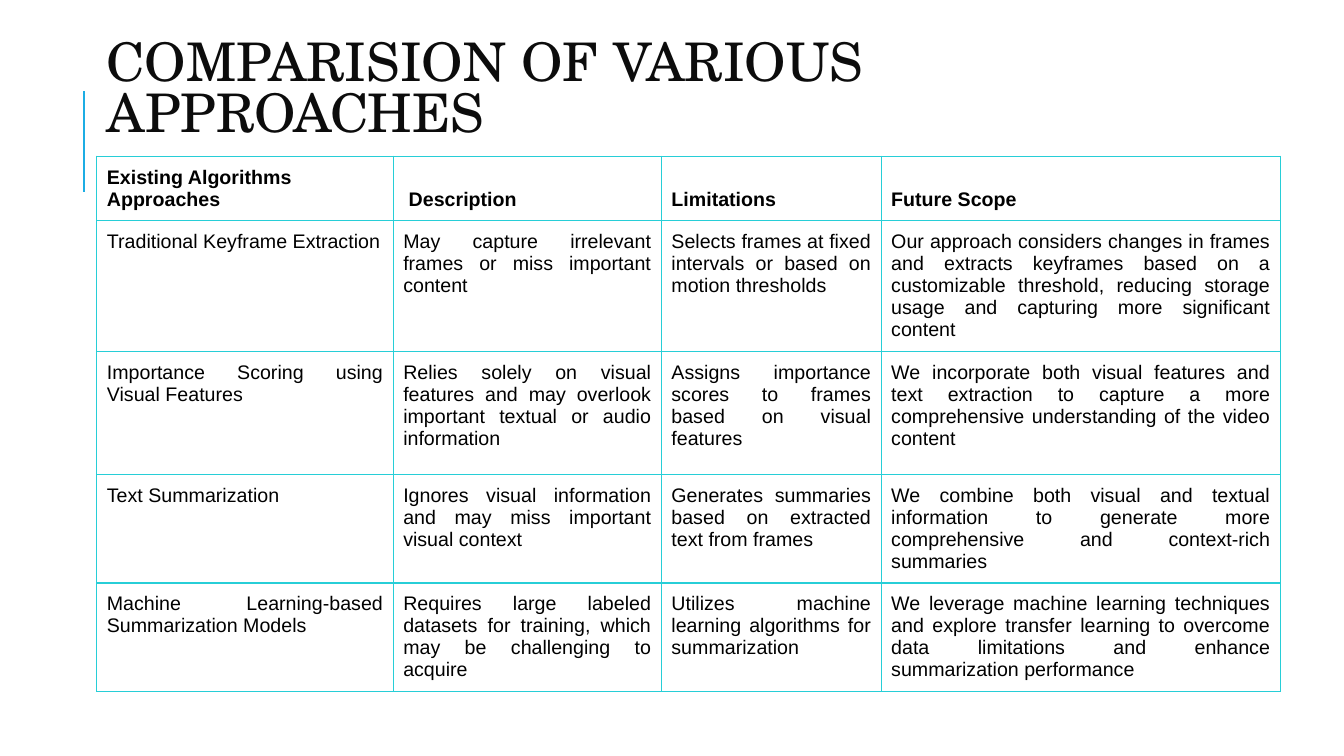
import pptx
import pptx.util
import pptx.dml.color
import pptx.enum.shapes
import pptx.enum.text
import pptx.oxml
import pptx.oxml.ns
from lxml import etree

Inches = pptx.util.Inches
Pt = pptx.util.Pt
Align = pptx.enum.text.PP_ALIGN
Anchor = pptx.enum.text.MSO_ANCHOR

WIDTHS = [2.94, 2.66, 2.18, 3.96]
HEIGHTS = [0.64, 1.3, 1.22, 1.07, 1.07]
ROWS = [
    ["Existing Algorithms Approaches", " Description", "Limitations", "Future Scope"],
    ["Traditional Keyframe Extraction",
     "May capture irrelevant frames or miss important content",
     "Selects frames at fixed intervals or based on motion thresholds",
     "Our approach considers changes in frames and extracts keyframes based on a "
     "customizable threshold, reducing storage usage and capturing more significant content"],
    ["Importance Scoring using Visual Features",
     "Relies solely on visual features and may overlook important textual or audio information",
     "Assigns importance scores to frames based on visual features",
     "We incorporate both visual features and text extraction to capture a more "
     "comprehensive understanding of the video content"],
    ["Text Summarization",
     "Ignores visual information and may miss important visual context",
     "Generates summaries based on extracted text from frames",
     "We combine both visual and textual information to generate more comprehensive "
     "and context-rich summaries"],
    ["Machine Learning-based Summarization Models",
     "Requires large labeled datasets for training, which may be challenging to acquire",
     "Utilizes machine learning algorithms for summarization",
     "We leverage machine learning techniques and explore transfer learning to overcome "
     "data limitations and enhance summarization performance"],
]


def color(code):
    return pptx.dml.color.RGBColor.from_string(code)


class Deck:
    serif, sans = "TeX Gyre Schola", "Arial"
    ink, black, blue, teal = "0C0C0C", "000000", "1CADE4", "27CED7"

    def __init__(self, slide):
        self.slide = slide

    def style(self, par, font, size, code, bold=False):
        for run in par.runs:
            run.font.name = font
            run.font.size = Pt(size)
            run.font.bold = bold
            run.font.color.rgb = color(code)

    def title(self, text, x, y, w, h):
        frame = self.slide.shapes.add_textbox(
            Inches(x), Inches(y), Inches(w), Inches(h)).text_frame
        frame.word_wrap = True
        frame.vertical_anchor = Anchor.MIDDLE
        frame.text = text
        par = frame.paragraphs[0]
        par.line_spacing = 0.8
        self.style(par, self.serif, 38, self.ink)

    def line(self, x1, y1, x2, y2):
        rule = self.slide.shapes.add_connector(
            pptx.enum.shapes.MSO_CONNECTOR.STRAIGHT,
            Inches(x1), Inches(y1), Inches(x2), Inches(y2))
        rule.line.color.rgb = color(self.blue)
        rule.line.width = Pt(1.5)
        etree.SubElement(rule._element.spPr, pptx.oxml.ns.qn("a:effectLst"))

    def border(self, cell):
        props = cell._tc.get_or_add_tcPr()
        for side in ("lnL", "lnR", "lnT", "lnB"):
            props.append(pptx.oxml.parse_xml(
                f'<a:{side} {pptx.oxml.ns.nsdecls("a")} w="{Pt(1)}"><a:solidFill>'
                f'<a:srgbClr val="{self.teal}"/></a:solidFill></a:{side}>'))

    def cell(self, cell, text, head):
        cell.margin_left = cell.margin_right = Inches(0.1)
        cell.margin_top = cell.margin_bottom = Inches(0.1)
        cell.vertical_anchor = Anchor.BOTTOM if head else Anchor.TOP
        self.border(cell)
        cell.fill.background()
        cell.text_frame.text = text
        par = cell.text_frame.paragraphs[0]
        par.alignment = Align.LEFT if head else Align.JUSTIFY
        self.style(par, self.sans, 14, self.black, head)

    def table(self, rows, x, y, widths, heights):
        grid = self.slide.shapes.add_table(
            len(rows), len(widths), Inches(x), Inches(y),
            Inches(sum(widths)), Inches(sum(heights))).table
        grid.first_row = grid.horz_banding = False
        for col, width in zip(grid.columns, widths):
            col.width = Inches(width)
        for i, (row, height) in enumerate(zip(rows, heights)):
            grid.rows[i].height = Inches(height)
            for j, text in enumerate(row):
                self.cell(grid.cell(i, j), text, i == 0)


def main():
    show = pptx.Presentation()
    show.slide_width, show.slide_height = Inches(13.33), Inches(7.5)
    deck = Deck(show.slides.add_slide(show.slide_layouts[6]))

    # Accent rule beside the title
    deck.line(0.83, 1.9, 0.83, 0.9)
    # Comparison table
    deck.table(ROWS, 0.96, 1.55, WIDTHS, HEIGHTS)
    # Title
    deck.title("COMPARISION OF VARIOUS APPROACHES", 0.96, 0.55, 9.98, 0.72)

    show.save("out.pptx")


if __name__ == "__main__":
    main()
